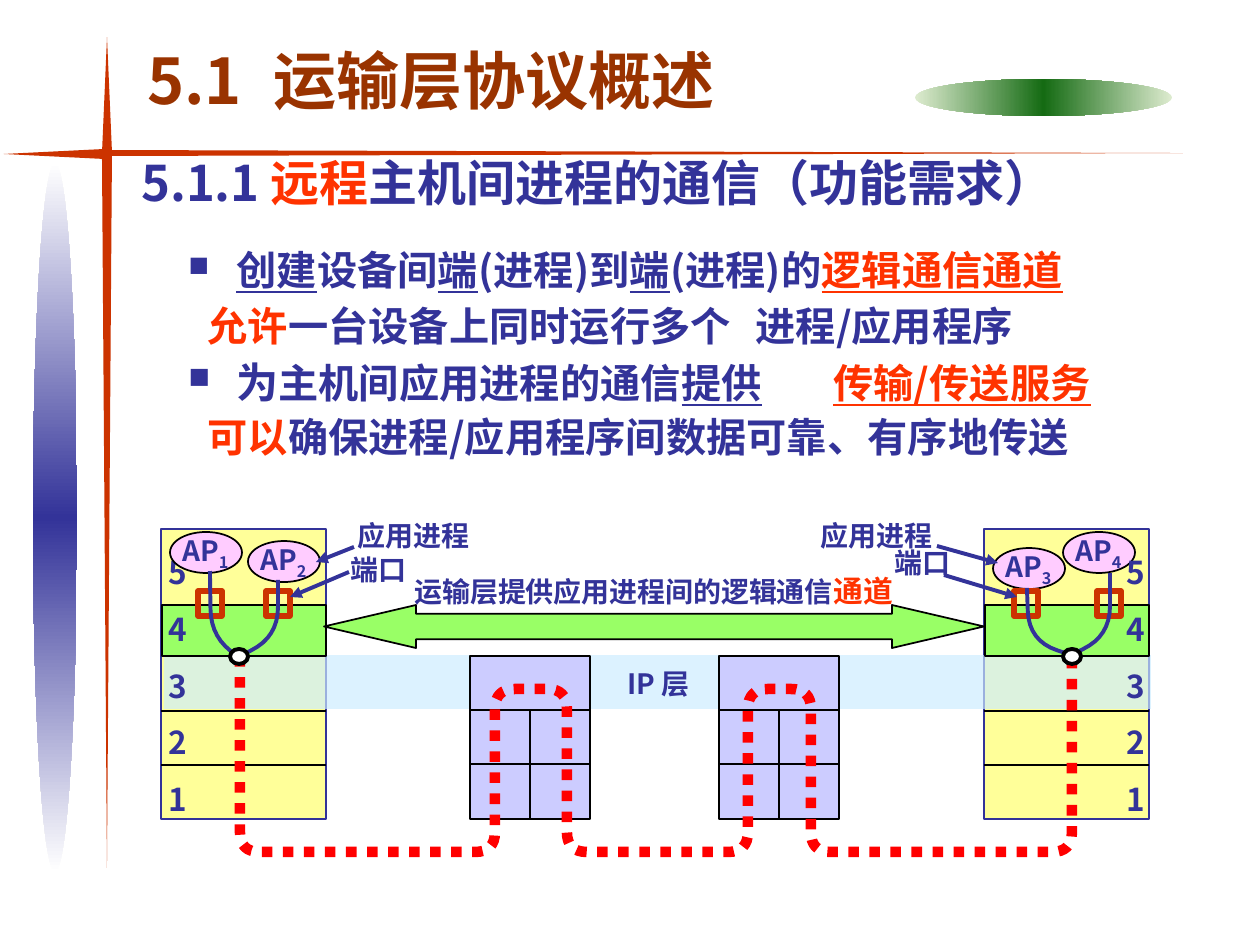
import pptx
import pptx.util
import pptx.dml.color
import pptx.enum.shapes
import pptx.enum.text
import pptx.oxml
import pptx.oxml.ns
from lxml import etree

RGB = pptx.dml.color.RGBColor
KIND = pptx.enum.shapes.MSO_SHAPE
FIT = pptx.enum.text.MSO_AUTO_SIZE.SHAPE_TO_FIT_TEXT
qn = pptx.oxml.ns.qn
SCALE = 914400 / 126
FONT = "Noto Sans CJK SC"

NAVY = RGB(0x33, 0x33, 0x99)
RED = RGB(0xFF, 0x33, 0x00)
BROWN = RGB(0x99, 0x33, 0x00)
RUST = RGB(0xCC, 0x33, 0x00)
BLACK = RGB(0, 0, 0)
WHITE = RGB(0xFF, 0xFF, 0xFF)
YELLOW = RGB(0xFF, 0xFF, 0x99)
LIME = RGB(0x99, 0xFF, 0x66)
LILAC = RGB(0xCC, 0xCC, 0xFF)
PINK = RGB(0xFF, 0xCC, 0xFF)
SKY = RGB(0xCC, 0xEC, 0xFF)
DOTS = RGB(0xFF, 0, 0)
GREEN = RGB(0x15, 0x6B, 0x13)
PALE = RGB(0xDD, 0xEB, 0xCF)


def px(n):
    return pptx.util.Emu(round(n * SCALE))


def paint(item, fill, line, width):
    item.shadow.inherit = False
    if fill is None:
        item.fill.background()
    else:
        item.fill.solid()
        item.fill.fore_color.rgb = fill
    if line is None:
        item.line.fill.background()
    else:
        item.line.color.rgb = line
        item.line.width = pptx.util.Pt(width)
    return item


def shape(slide, kind, box, fill=None, line=None, width=1):
    item = slide.shapes.add_shape(kind, *map(px, box))
    return paint(item, fill, line, width)


def line(slide, start, end, color=BLACK, width=1, arrow=False):
    item = slide.shapes.add_connector(
        pptx.enum.shapes.MSO_CONNECTOR.STRAIGHT, *map(px, start + end))
    item.line.color.rgb = color
    item.line.width = pptx.util.Pt(width)
    if arrow:
        etree.SubElement(item.line._get_or_add_ln(), qn("a:tailEnd"), type="triangle")
    etree.SubElement(item._element.spPr, qn("a:effectLst"))
    return item


def curve(slide, dots, bend, color, width):
    """Draw an open line through dots, its corners rounded over length bend."""
    def toward(a, b):
        gap = ((b[0] - a[0]) ** 2 + (b[1] - a[1]) ** 2) ** 0.5
        part = min(bend / gap, 1)
        return a[0] + (b[0] - a[0]) * part, a[1] + (b[1] - a[1]) * part

    track = [dots[0]]
    for last, turn, then in zip(dots, dots[1:], dots[2:]):
        a, b = toward(turn, last), toward(turn, then)
        for t in (i / 8 for i in range(9)):
            track.append(tuple((1 - t) ** 2 * a[k] + 2 * t * (1 - t) * turn[k]
                               + t * t * b[k] for k in (0, 1)))
    track.append(dots[-1])
    pen = slide.shapes.build_freeform(*map(px, track[0]))
    pen.add_line_segments([(px(x), px(y)) for x, y in track[1:]], close=False)
    return paint(pen.convert_to_shape(), None, color, width)


def style(para, size, color, bullet=False, tab=None):
    props = para._p.get_or_add_pPr()
    if bullet:
        props.set("marL", str(px(48)))
        props.set("indent", str(-px(48)))
        tint = etree.SubElement(props, qn("a:buClr"))
        etree.SubElement(tint, qn("a:srgbClr"), val=str(color))
        etree.SubElement(props, qn("a:buSzPct"), val="70000")
        etree.SubElement(props, qn("a:buChar"), char="■")
    if tab:
        stops = etree.SubElement(props, qn("a:tabLst"))
        etree.SubElement(stops, qn("a:tab"), pos=str(px(tab)), algn="l")
    font = para.font
    font.size = pptx.util.Pt(size)
    font.bold = True
    font.color.rgb = color
    font.name = FONT
    etree.SubElement(props.find(qn("a:defRPr")), qn("a:ea"), typeface=FONT)


def fill(para, runs):
    """Add runs (text, marks, size); marks: r red, u underlined, s subscript."""
    for words, marks, *size in runs:
        run = para.add_run()
        run.text = words
        if "r" in marks:
            run.font.color.rgb = RED
        if "u" in marks:
            run.font.underline = True
        if "s" in marks:
            run.font._element.set("baseline", "-25000")
        if size:
            run.font.size = pptx.util.Pt(size[0])


def text(slide, box, paras, size=16, color=NAVY, wrap=True, space=None, looks=None):
    frame = slide.shapes.add_textbox(*map(px, box)).text_frame
    frame.word_wrap = wrap
    frame.auto_size = FIT
    for i, runs in enumerate(paras):
        para = frame.add_paragraph() if i else frame.paragraphs[0]
        style(para, size, color, **(looks[i] if looks else {}))
        if space:
            para.line_spacing = space
        fill(para, [(runs, "")] if isinstance(runs, str) else runs)
    return frame


def blend(slide, box, edge, core, angle):
    item = shape(slide, KIND.OVAL, box)
    stops = "".join(f'<a:gs pos="{pos}"><a:srgbClr val="{tone}"/></a:gs>'
                    for pos, tone in ((0, edge), (50000, core), (100000, edge)))
    grad = pptx.oxml.parse_xml(
        f'<a:gradFill {pptx.oxml.ns.nsdecls("a")}><a:gsLst>{stops}</a:gsLst>'
        f'<a:lin ang="{angle * 60000}" scaled="0"/></a:gradFill>')
    props = item._element.spPr
    props.replace(props.find(qn("a:noFill")), grad)


def decor(slide):
    blend(slide, (915, 79, 257, 37), PALE, GREEN, 0)
    blend(slide, (33, 163, 44, 709), WHITE, NAVY, 90)
    for x, y, wide, long, turn in ((107, 510, 10, 716, 0), (643, 153, 6, 1080, 270),
                                   (54, 154, 10, 101, 90), (107, 95, 10, 116, 180)):
        spike = shape(slide, KIND.FLOWCHART_MERGE,
                      (x - wide / 2, y - long / 2, wide, long), RUST)
        spike.rotation = turn


def heads(slide):
    text(slide, (129, 146, 966, 131),
         [[("5.1.1 ", ""), ("远程", "r"), ("主机间进程的通信（功能需求）", "")]], 28)
    text(slide, (135, 35, 796, 88), ["5.1\t运输层协议概述"], 36, BROWN,
         looks=[{"tab": 126}])


def points(slide, box):
    frame = text(slide, box, [
        [("创建", "u"), ("设备间", ""), ("端", "u"), ("(进程)到", ""), ("端", "u"),
         ("(进程)的", ""), ("逻辑通信通道", "ru")],
        [("允许", "r"), ("一台设备上同时运行多个\t进程/应用程序", "")],
        [("为", "", 24), ("主机间应用进程的通信", ""), ("提供", "u"), ("\t", ""),
         ("传输/传送服务", "ru")],
        [("可以", "r"), ("确保进程/应用程序间数据可靠、有序地传送", "")],
    ], 23, space=1.15, looks=[{"bullet": True}, {"tab": 703},
                              {"bullet": True, "tab": 645}, {}])
    for para in frame.paragraphs[1::2]:
        para._p.pPr.set("indent", str(px(19)))
    frame.paragraphs[3].line_spacing = 1.1


def rows(slide, x, y, wide):
    for drop in (0, 54):
        line(slide, (x, y + drop), (x + wide, y + drop))


def digits(slide, x, y):
    text(slide, (x, y, 43, 296), list("54321"), 18, wrap=False, space=1.5)


def host(slide, x, y, apps, ports, wires, joint):
    """Draw the upper layers of a host; all parts are offsets from x, y."""
    for dx, dy, num in apps:
        shape(slide, KIND.OVAL, (x + dx, y + dy, 72, 41), PINK, BLACK)
        text(slide, (x + dx, y + dy - 5, 71, 50), [[("AP", ""), (num, "s")]], wrap=False)
    for dx in ports:
        shape(slide, KIND.RECTANGLE, (x + dx, y + 62, 24, 25), None, RUST, 3)
    for wire in wires:
        curve(slide, [(x + dx, y + dy) for dx, dy in wire], 30, NAVY, 2.25)
    shape(slide, KIND.OVAL, (x + joint, y + 120, 18, 15), WHITE, BLACK, 2.25)


def router(slide, x, y):
    body = shape(slide, KIND.RECTANGLE, (x, y, 120, 163), LILAC, BLACK)
    rows(slide, x, y + 54, 120)
    line(slide, (x + 60, y + 54), (x + 60, y + 163)).end_connect(body, 2)


def route(slide, top, roof, floor):
    dots = [(240, top)]
    for i, x in enumerate((240, 495, 567, 748, 811, 1072)):
        ends = (roof, floor) if i % 2 == 0 else (floor, roof)
        dots += [(x, y) for y in ends]
    dots = [dots[0]] + dots[2:-1] + [(1072, top)]
    item = curve(slide, dots, 20, DOTS, 6)
    item.line.dash_style = pptx.enum.dml.MSO_LINE.ROUND_DOT


def notes(slide):
    for x, y, wide, words in ((345, 512, 154, "应用进程"), (808, 512, 158, "应用进程"),
                              (338, 546, 81, "端口"), (882, 539, 81, "端口")):
        text(slide, (x, y, wide, 45), [words], wrap=len(words) > 2)
    for start, end in (((354, 547), (316, 562)), ((937, 546), (998, 563)),
                       ((349, 572), (290, 597)), ((944, 575), (1017, 597))):
        line(slide, start, end, NAVY, 2.25, True)


def network(slide, left, right, y):
    for x in (left, right):
        shape(slide, KIND.RECTANGLE, (x, y, 165, 290), YELLOW, NAVY)
    band = shape(slide, KIND.RECTANGLE, (164, y + 126, 987, 54), SKY)
    tone = band._element.spPr.find(qn("a:solidFill"))[0]
    etree.SubElement(tone, qn("a:alpha"), val="68000")
    for x in (left, right):
        rows(slide, x, y + 182, 165)
        shape(slide, KIND.RECTANGLE, (x + 1, y + 76, 164, 51), LIME, BLACK, 1.5)
    for x in (470, 719):
        router(slide, x, y + 127)
    text(slide, (615, y + 131, 96, 45), ["IP 层"], wrap=False)
    text(slide, (402, y + 38, 517, 48),
         [[("运输层提供应用进程间的逻辑通信", ""), ("通道", "r", 17)]])
    route(slide, y + 127, y + 160, y + 323)
    pipe = shape(slide, KIND.LEFT_RIGHT_ARROW, (324, y + 76, 660, 43), LIME, BLACK)
    pipe.adjustments[0], pipe.adjustments[1] = 0.59, 2.14
    digits(slide, left - 5, y - 1)
    host(slide, left, y, ((9, 3, "1"), (87, 12, "2")), (37, 105),
         (((49, 42), (50, 110), (77, 127)), ((117, 51), (117, 108), (87, 123))), 69)
    host(slide, right, y, ((9, 19, "3"), (79, 3, "4")), (30, 113),
         (((43, 59), (45, 112), (81, 124)), ((126, 44), (126, 107), (93, 123))), 79)
    digits(slide, right + 130, y - 1)
    notes(slide)


def main():
    deck = pptx.Presentation()
    deck.slide_width, deck.slide_height = px(1260), px(945)
    slide = deck.slides.add_slide(deck.slide_layouts[6])
    decor(slide)
    heads(slide)
    points(slide, (176, 232, 1084, 234))
    network(slide, 161, 984, 529)
    deck.save("out.pptx")


if __name__ == "__main__":
    main()
